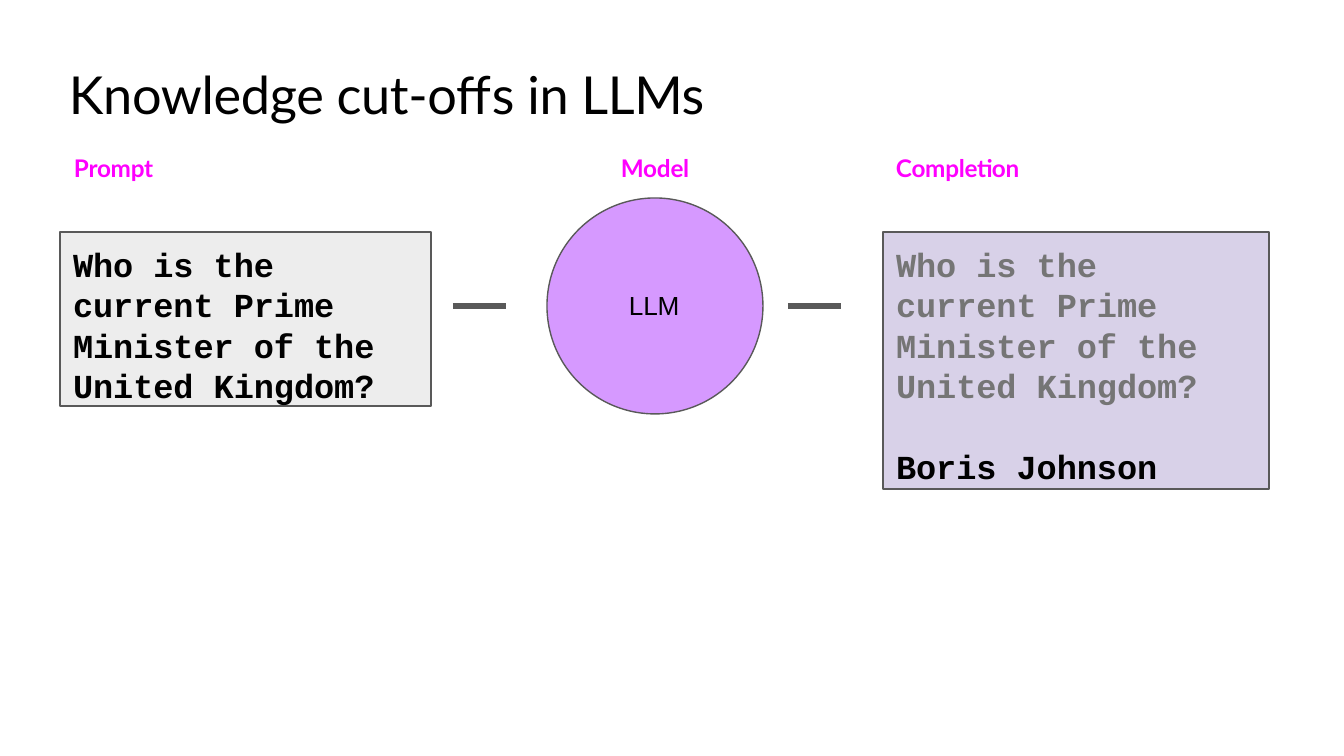
import pptx
import pptx.util
import pptx.dml.color
import pptx.enum.shapes
import pptx.enum.text
import pptx.oxml.ns
import lxml.etree

PX = 914400 / 134.4
BLACK, GREY, LINE, PINK = "000000", "757575", "595959", "FF00FF"
QUESTION = "Who is the current Prime Minister of the United Kingdom?"


def px(*lengths):
    return [pptx.util.Emu(round(length * PX)) for length in lengths]


def color(hex_code):
    return pptx.dml.color.RGBColor.from_string(hex_code)


def set_up_frame(frame, left=1, top=1, right=0):
    frame.word_wrap = True
    frame.auto_size = pptx.enum.text.MSO_AUTO_SIZE.NONE
    frame.vertical_anchor = pptx.enum.text.MSO_ANCHOR.TOP
    frame.margin_left, frame.margin_top, frame.margin_right, frame.margin_bottom = px(
        left, top, right, 0)


def write(para, text, font, size, hex_code, bold=False, tracking=-0.1):
    """Add one run; tracking is in points."""
    para.alignment = pptx.enum.text.PP_ALIGN.LEFT
    span = para.add_run()
    span.text = text
    span.font.name = font
    span.font.size = pptx.util.Pt(size)
    span.font.bold = bold
    span.font.color.rgb = color(hex_code)
    span._r.get_or_add_rPr().set("spc", str(round(tracking * 100)))


def add_title(slide, text):
    title = slide.shapes.title
    title.left, title.top, title.width, title.height = px(68, 61, 872, 66)
    set_up_frame(title.text_frame)
    write(title.text_frame.paragraphs[0], text, "Lato", 28, BLACK, tracking=-0.17)


def add_label(slide, text, left, top, width, font="Lato", size=13,
              hex_code=PINK, bold=True):
    box = slide.shapes.add_textbox(*px(left, top, width, 32))
    set_up_frame(box.text_frame)
    write(box.text_frame.paragraphs[0], text, font, size, hex_code, bold)


def add_outlined(slide, kind, bounds, fill):
    shape = slide.shapes.add_shape(kind, *px(*bounds))
    shape.shadow.inherit = False
    shape.fill.solid()
    shape.fill.fore_color.rgb = color(fill)
    shape.line.color.rgb = color(LINE)
    shape.line.width = pptx.util.Pt(0.75)
    return shape


def add_message(slide, bounds, fill, parts):
    """Rectangle with one bold monospaced paragraph per (text, colour)."""
    box = add_outlined(slide, pptx.enum.shapes.MSO_SHAPE.RECTANGLE, bounds, fill)
    frame = box.text_frame
    set_up_frame(frame, left=13, top=12, right=20)
    for index, (text, hex_code) in enumerate(parts):
        para = frame.add_paragraph() if index else frame.paragraphs[0]
        para.space_before = pptx.util.Pt(22 if index else 0)
        write(para, text, "Courier New", 18, hex_code, True, -0.02)


def add_dash(slide, left, y, width):
    dash = slide.shapes.add_connector(
        pptx.enum.shapes.MSO_CONNECTOR.STRAIGHT, *px(left, y, left + width, y))
    dash.line.color.rgb = color(LINE)
    dash.line.width = pptx.util.Pt(3)
    lxml.etree.SubElement(dash._element.spPr, pptx.oxml.ns.qn("a:effectLst"))


def main():
    deck = pptx.Presentation()
    deck.slide_width, deck.slide_height = px(1344, 756)
    slide = deck.slides.add_slide(deck.slide_layouts[5])
    add_title(slide, "Knowledge cut-offs in LLMs")

    # Column headings
    for text, left, width in (("Prompt", 73, 85), ("Model", 620, 72),
                              ("Completion", 895, 130)):
        add_label(slide, text, left, 152, width)

    # Prompt
    add_message(slide, (60, 232, 371, 174), "EDEDED", [(QUESTION, BLACK)])

    # Model, with a dash on each side
    add_outlined(slide, pptx.enum.shapes.MSO_SHAPE.OVAL, (547, 198, 216, 216), "D699FF")
    add_label(slide, "LLM", 628, 288, 56, "Arial", 14, BLACK, False)
    for left in (453, 788):
        add_dash(slide, left, 306, 53)

    # Completion
    add_message(slide, (883, 232, 386, 257), "D8D1E8",
                [(QUESTION, GREY), ("Boris Johnson", BLACK)])

    deck.save("out.pptx")


if __name__ == "__main__":
    main()
